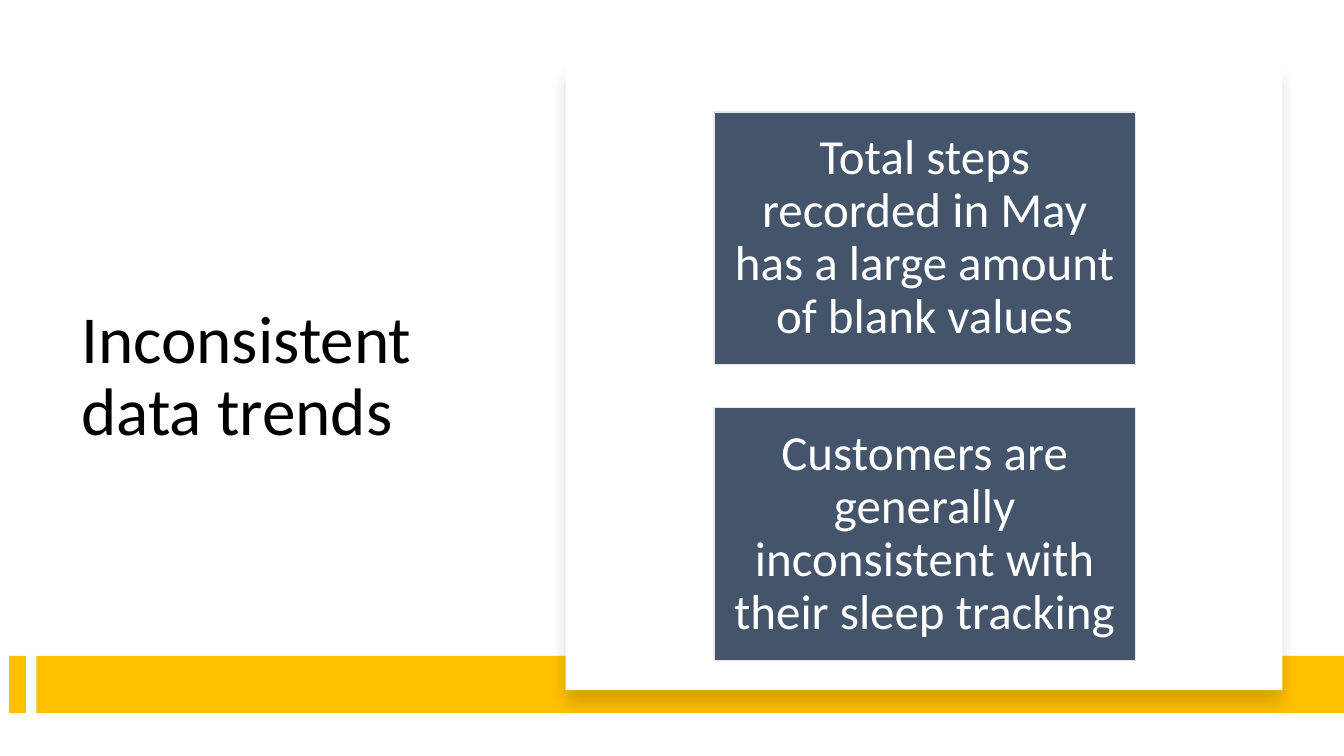
from dataclasses import dataclass

from lxml import etree
from pptx import Presentation
from pptx import util as u
from pptx.dml.color import RGBColor
from pptx.enum import shapes, text
from pptx.oxml import ns


@dataclass(frozen=True)
class Theme:
    font: str = "Calibri"
    title_size: float = 48
    card_size: float = 35
    line_spacing: float = 0.9
    ink: str = "000000"
    paper: str = "FFFFFF"
    accent: str = "FFC000"
    card: str = "44546A"
    card_line: str = "E7E6E6"


THEME = Theme()


def add_rectangle(slide, left, top, width, height, fill, line=None):
    shape = slide.shapes.add_shape(
        shapes.MSO_SHAPE.RECTANGLE, u.Pt(left), u.Pt(top), u.Pt(width), u.Pt(height))
    shape.shadow.inherit = False
    shape.fill.solid()
    shape.fill.fore_color.rgb = RGBColor.from_string(fill)
    if line:
        shape.line.color.rgb = RGBColor.from_string(line)
        shape.line.width = u.Pt(1)
    else:
        shape.line.fill.background()
    return shape


def add_soft_shadow(shape, blur, distance, opacity):
    effects = shape.element.spPr.find(ns.qn("a:effectLst"))
    shadow = etree.SubElement(
        effects, ns.qn("a:outerShdw"), blurRad=str(u.Pt(blur)),
        dist=str(u.Pt(distance)), dir="5400000", algn="t", rotWithShape="0")
    color = etree.SubElement(shadow, ns.qn("a:srgbClr"), val=THEME.ink)
    etree.SubElement(color, ns.qn("a:alpha"), val=str(opacity * 1000))


def write_text(shape, wording, size, color, alignment, inset_x, inset_y):
    frame = shape.text_frame
    frame.word_wrap = True
    frame.vertical_anchor = text.MSO_ANCHOR.MIDDLE
    frame.margin_left = frame.margin_right = u.Pt(inset_x)
    frame.margin_top = frame.margin_bottom = u.Pt(inset_y)
    paragraph = frame.paragraphs[0]
    paragraph.alignment = alignment
    paragraph.line_spacing = THEME.line_spacing
    run = paragraph.add_run()
    run.text = wording
    run.font.name = THEME.font
    run.font.size = u.Pt(size)
    run.font.color.rgb = RGBColor.from_string(color)


def add_title(slide, wording):
    box = slide.shapes.add_textbox(u.Pt(51), u.Pt(86.4), u.Pt(299), u.Pt(367))
    write_text(box, wording, THEME.title_size, THEME.ink, text.PP_ALIGN.LEFT, 7.2, 3.6)


def add_footer_band(slide):
    for left, width in ((6.5, 12), (26, 934)):
        add_rectangle(slide, left, 468.5, width, 41, THEME.accent)


def add_panel(slide):
    panel = add_rectangle(slide, 404, 46, 512, 447, THEME.paper)
    add_soft_shadow(panel, blur=11, distance=10, opacity=15)


def add_cards(slide, wordings):
    height, gap = 180.6, 30.4
    for index, wording in enumerate(wordings):
        top = 80 + index * (height + gap)
        card = add_rectangle(slide, 510, top, 301, height, THEME.card, THEME.card_line)
        write_text(card, wording, THEME.card_size, THEME.paper,
                   text.PP_ALIGN.CENTER, 10.5, 10.5)


def main():
    presentation = Presentation()
    presentation.slide_width = u.Pt(960)
    presentation.slide_height = u.Pt(540)
    slide = presentation.slides.add_slide(presentation.slide_layouts[6])
    add_title(slide, "Inconsistent data trends")
    add_footer_band(slide)
    add_panel(slide)
    add_cards(slide, (
        "Total steps recorded in May has a large amount of blank values",
        "Customers are generally inconsistent with their sleep tracking",
    ))
    presentation.save("out.pptx")


main()
